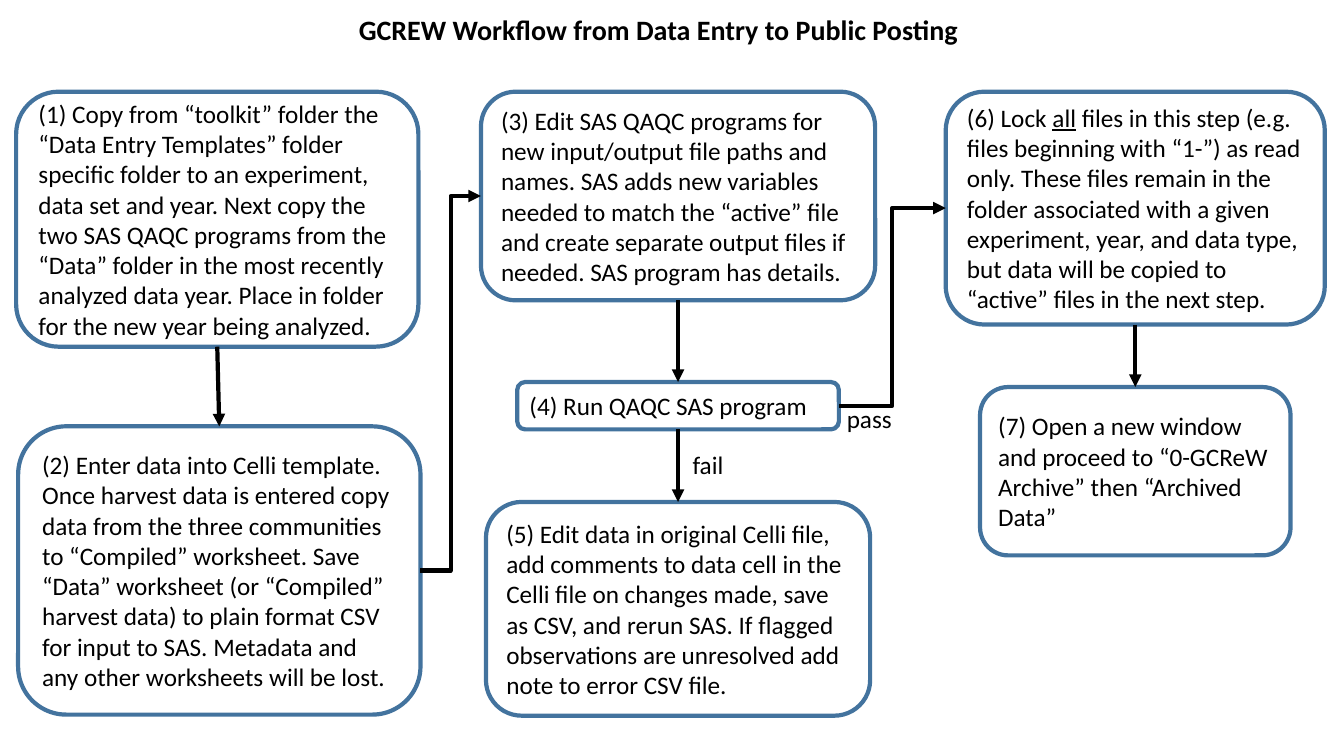
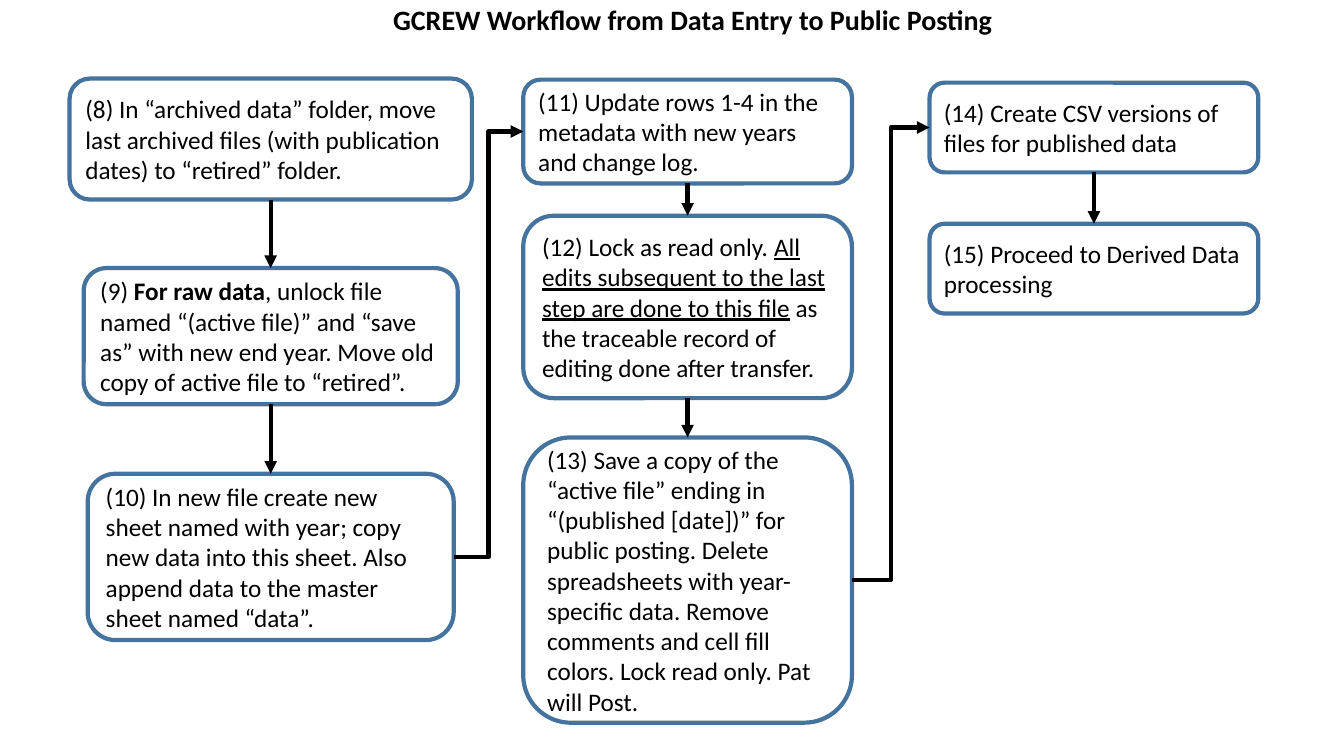
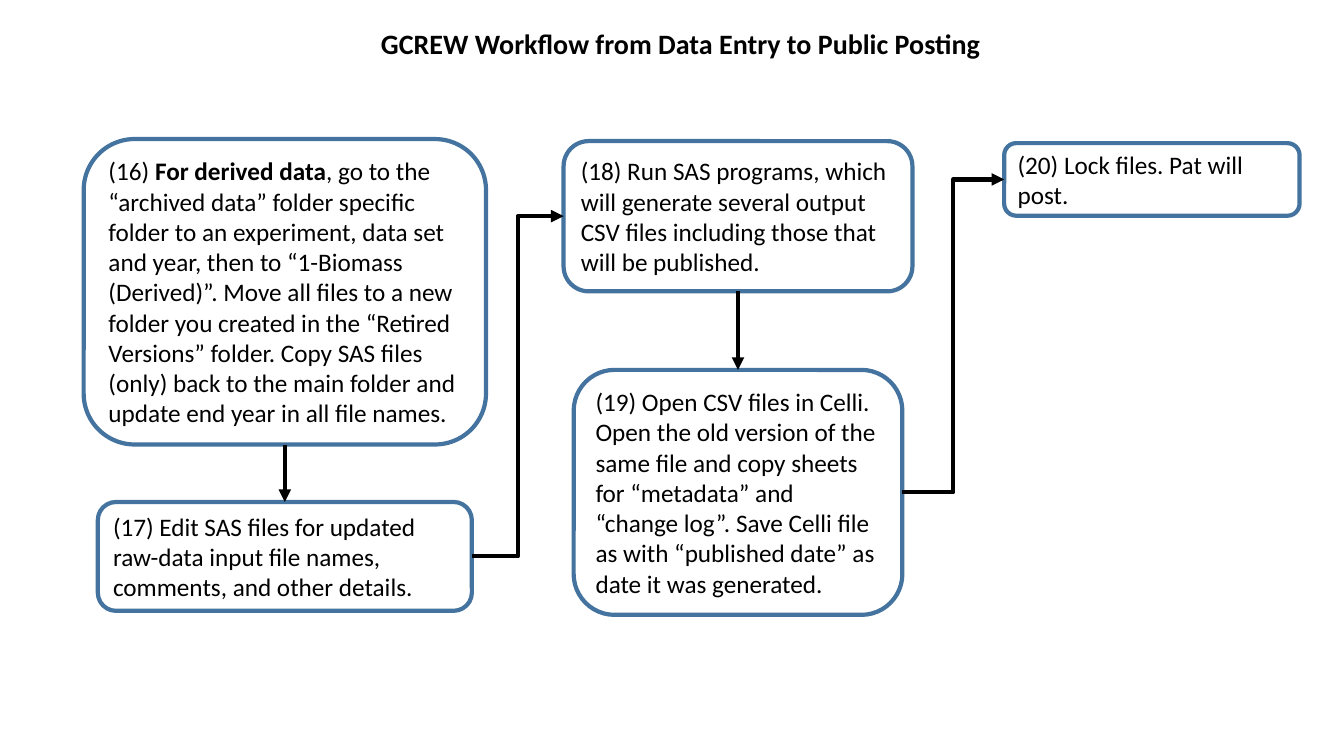
import pptx
import pptx.util
import pptx.dml.color
import pptx.enum.shapes
import pptx.enum.text
import pptx.oxml.ns
import lxml.etree

PX = 9144  # EMU per px, 100 px to the inch
BLUE = pptx.dml.color.RGBColor(0x43, 0x73, 0x9E)
BLACK = pptx.dml.color.RGBColor(0x00, 0x00, 0x00)
FONT = "Calibri"
TITLE = "GCREW Workflow from Data Entry to Public Posting"
BOTTOM, RIGHT = (2, 0), (3, 1)  # connection sites: from, to
qn = pptx.oxml.ns.qn


def write(tf, text, size=18, bold=False, strong="", under=""):
    """Write text; the part named by strong is bold, by under underlined."""
    mark = strong or under
    parts = text.partition(mark) if mark else (text,)
    p = tf.paragraphs[0]
    p.alignment = pptx.enum.text.PP_ALIGN.LEFT
    for part in parts:
        r = p.add_run()
        r.text = part
        r.font.name = FONT
        r.font.size = pptx.util.Pt(size)
        r.font.color.rgb = BLACK
        r.font.bold = bold or part == strong
        r.font.underline = part == under


def add_label(s, x, y, w, h, text, **fmt):
    """Add a one-line text box."""
    tf = s.shapes.add_textbox(x * PX, y * PX, w * PX, h * PX).text_frame
    tf.word_wrap = False
    tf.auto_size = pptx.enum.text.MSO_AUTO_SIZE.SHAPE_TO_FIT_TEXT
    write(tf, text, **fmt)


# Steps: number -> x, y, w, h, text, format
slides = [
    {
        "title": (346, 7),
        "steps": {
            1: (16, 91, 399, 253, "Copy from “toolkit” folder the “Data Entry Templates” folder specific folder to an experiment, data set and year. Next copy the two SAS QAQC programs from the “Data” folder in the most recently analyzed data year. Place in folder for the new year being analyzed.", {}),
            2: (18, 423, 399, 286, "Enter data into Celli template. Once harvest data is entered copy data from the three communities to “Compiled” worksheet. Save “Data” worksheet (or “Compiled” harvest data) to plain format CSV for input to SAS. Metadata and any other worksheets will be lost.", {}),
            3: (477, 91, 391, 207, "Edit SAS QAQC programs for new input/output file paths and names. SAS adds new variables needed to match the “active” file and create separate output files if needed. SAS program has details.", {}),
            4: (513, 379, 319, 47, "Run QAQC SAS program", {}),
            5: (482, 498, 381, 212, "Edit data in original Celli file, add comments to data cell in the Celli file on changes made, save as CSV, and rerun SAS. If flagged observations are unresolved add note to error CSV file.", {}),
            6: (938, 91, 376, 231, "Lock all files in this step (e.g. files beginning with “1-”) as read only. These files remain in the folder associated with a given experiment, year, and data type, but data will be copied to “active” files in the next step.", {"under": "all"}),
            7: (972, 384, 308, 167, "Open a new window and proceed to “0-GCReW Archive” then “Archived Data”", {}),
        },
        "arrows": [(1, 2, BOTTOM), (2, 3, RIGHT), (3, 4, BOTTOM),
                   (4, 5, BOTTOM), (4, 6, RIGHT), (6, 7, BOTTOM)],
        "labels": [(677, 441, 51, 40, "fail"), (830, 395, 65, 40, "pass")],
    },
    {
        "title": (380, -2),
        "steps": {
            8: (69, 78, 399, 120, "In “archived data” folder, move last archived files (with publication dates) to “retired” folder.", {}),
            9: (83, 266, 371, 135, "For raw data, unlock file named “(active file)” and “save as” with new end year. Move old copy of active file to “retired”.", {"strong": "For raw data"}),
            10: (87, 470, 363, 165, "In new file create new sheet named with year; copy new data into this sheet. Also append data to the master sheet named “data”.", {}),
            11: (519, 79, 326, 103, "Update rows 1-4 in the metadata with new years and change log.", {}),
            12: (519, 214, 326, 181, "Lock as read only. All edits subsequent to the last step are done to this file as the traceable record of editing done after transfer.", {"under": "All edits subsequent to the last step are done to this file"}),
            13: (519, 434, 326, 283, "Save a copy of the “active file” ending in “(published [date])” for public posting. Delete spreadsheets with year-specific data. Remove comments and cell fill colors. Lock read only. Pat will Post.", {}),
            14: (922, 82, 326, 89, "Create CSV versions of files for published data", {}),
            15: (922, 222, 326, 89, "Proceed to Derived Data processing", {}),
        },
        "arrows": [(8, 9, BOTTOM), (9, 10, BOTTOM), (10, 11, RIGHT), (11, 12, BOTTOM),
                   (12, 13, BOTTOM), (13, 14, RIGHT), (14, 15, BOTTOM)],
        "labels": [],
    },
    {
        "title": (368, 21),
        "steps": {
            16: (83, 138, 399, 303, "For derived data, go to the “archived data” folder specific folder to an experiment, data set and year, then to “1-Biomass (Derived)”. Move all files to a new folder you created in the “Retired Versions” folder. Copy SAS files (only) back to the main folder and update end year in all file names.", {"strong": "For derived data"}),
            17: (97, 498, 371, 108, "Edit SAS files for updated raw-data input file names, comments, and other details.", {}),
            18: (559, 140, 346, 149, "Run SAS programs, which will generate several output CSV files including those that will be published.", {}),
            19: (569, 367, 326, 243, "Open CSV files in Celli. Open the old version of the same file and copy sheets for “metadata” and “change log”. Save Celli file as with “published date” as date it was generated.", {}),
            20: (996, 142, 293, 72, "Lock files. Pat will post.", {}),
        },
        "arrows": [(16, 17, BOTTOM), (17, 18, RIGHT), (18, 19, BOTTOM), (19, 20, RIGHT)],
        "labels": [],
    },
]

prs = pptx.Presentation()
prs.slide_width = 1333 * PX
prs.slide_height = 750 * PX

for content in slides:
    s = prs.slides.add_slide(prs.slide_layouts[6])

    # Title
    add_label(s, *content["title"], 619, 44, TITLE, size=20, bold=True)

    # Step boxes
    boxes = {}
    for number, (x, y, w, h, text, fmt) in content["steps"].items():
        sp = s.shapes.add_shape(pptx.enum.shapes.MSO_SHAPE.ROUNDED_RECTANGLE,
                                x * PX, y * PX, w * PX, h * PX)
        sp.shadow.inherit = False
        sp.fill.background()
        sp.line.color.rgb = BLUE
        sp.line.width = pptx.util.Pt(3)
        tf = sp.text_frame
        tf.word_wrap = True
        tf.vertical_anchor = pptx.enum.text.MSO_ANCHOR.MIDDLE
        write(tf, f"({number}) {text}", **fmt)
        boxes[number] = sp

    # Arrows, straight downwards and bent to the next column
    for start, end, sites in content["arrows"]:
        kind = pptx.enum.shapes.MSO_CONNECTOR
        c = s.shapes.add_connector(kind.STRAIGHT if sites == BOTTOM else kind.ELBOW,
                                   0, 0, 0, 0)
        c.begin_connect(boxes[start], sites[0])
        c.end_connect(boxes[end], sites[1])
        c.line.color.rgb = BLACK
        c.line.width = pptx.util.Pt(3)
        spPr = c._element.spPr
        lxml.etree.SubElement(spPr.find(qn("a:ln")), qn("a:tailEnd"), type="triangle")
        lxml.etree.SubElement(spPr, qn("a:effectLst"))

    # Arrow labels
    for label in content["labels"]:
        add_label(s, *label)

prs.save("out.pptx")
